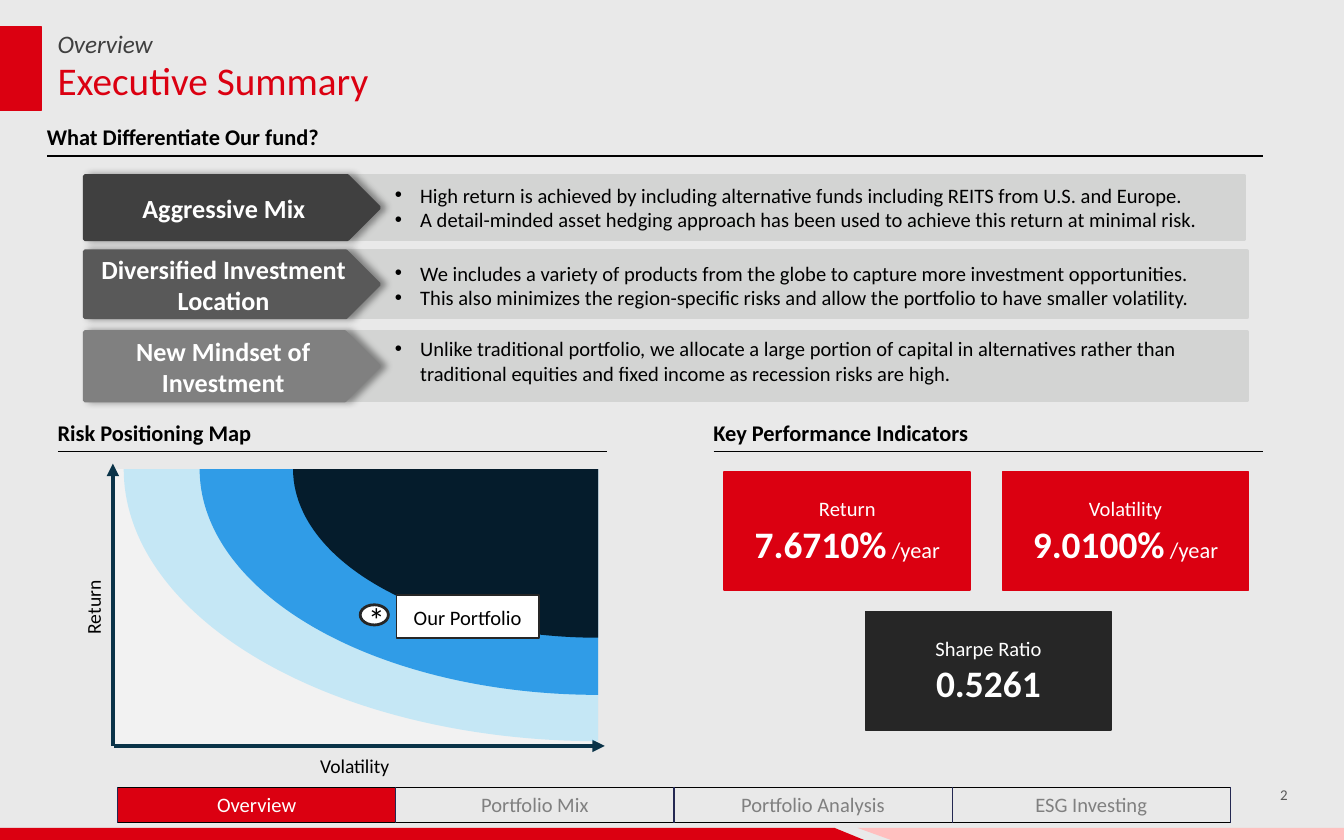
import dataclasses

import lxml.etree
import pptx
import pptx.dml.color
import pptx.enum.shapes
import pptx.enum.text
import pptx.oxml.ns
import pptx.util

SHAPE = pptx.enum.shapes.MSO_SHAPE
ALIGN = pptx.enum.text.PP_ALIGN
ANCHOR = pptx.enum.text.MSO_ANCHOR
COLUMNS, ROWS = 100, 62.5
CELL = pptx.util.Inches(0.1)


@dataclasses.dataclass(frozen=True)
class Theme:
    """Colours and type sizes of the deck."""
    font: str = "Calibri"
    ground: str = "E9E9E9"
    red: str = "DB0011"
    pink: str = "FFBFBF"
    white: str = "FFFFFF"
    black: str = "000000"
    ink: str = "262626"
    charcoal: str = "3F3F3F"
    slate: str = "595959"
    gray: str = "808080"
    band: str = "D3D4D3"
    plot: str = "F2F2F2"
    axis: str = "0A3348"
    border: str = "242852"
    low: str = "5FCEFF"
    middle: str = "309CE7"
    high: str = "051C2C"
    title: float = 21
    figure: float = 20
    marker: float = 18
    plate: float = 14
    kicker: float = 13.5
    heading: float = 12
    body: float = 11
    label: float = 10.5
    number: float = 8


THEME = Theme()


@dataclasses.dataclass(frozen=True)
class Box:
    """An area of the slide, counted in grid cells."""
    left: float
    top: float
    width: float
    height: float

    def inside(self, left, top, width, height):
        """Return a box placed from this box's corner."""
        return Box(self.left + left, self.top + top, width, height)

    def lengths(self):
        """Return the four lengths in slide units."""
        return [emu(n) for n in (self.left, self.top, self.width, self.height)]


def emu(cells):
    """Turn grid cells into slide units."""
    return pptx.util.Emu(round(cells * CELL))


def rgb(value):
    """Return a colour object for a hex value."""
    return pptx.dml.color.RGBColor.from_string(value)


def add_xml(parent, tag, **attributes):
    """Append a drawing element and return it."""
    return lxml.etree.SubElement(parent, pptx.oxml.ns.qn(tag), attributes)


def write(frame, text, *, size=THEME.body, color=THEME.black, bold=False, italic=False,
          align=ALIGN.LEFT, spacing=None, bullet=False, same_line=False):
    """Write text as a new paragraph or at the end of the last one."""
    paragraph = frame.paragraphs[-1]
    if paragraph.runs and not same_line:
        paragraph = frame.add_paragraph()
    paragraph.alignment = align
    if spacing:
        paragraph.line_spacing = spacing
    if bullet:
        properties = paragraph._p.get_or_add_pPr()
        indent = emu(1.88)
        properties.set("marL", str(indent))
        properties.set("indent", str(-indent))
        add_xml(properties, "a:buFont", typeface="Arial")
        add_xml(properties, "a:buChar", char="•")
    run = paragraph.add_run()
    run.text = text
    font = run.font
    font.name, font.size, font.bold, font.italic = THEME.font, pptx.util.Pt(size), bold, italic
    font.color.rgb = rgb(color)


def add_text(slide, box, anchor=ANCHOR.TOP):
    """Add a wrapping text box."""
    text_box = slide.shapes.add_textbox(*box.lengths())
    text_box.text_frame.word_wrap = True
    text_box.text_frame.vertical_anchor = anchor
    return text_box


def paint(shape, fill, line=None, weight=1):
    """Give a shape a flat fill and outline."""
    shape.shadow.inherit = False
    shape.fill.solid()
    shape.fill.fore_color.rgb = rgb(fill)
    if line:
        shape.line.color.rgb = rgb(line)
        shape.line.width = pptx.util.Pt(weight)
    else:
        shape.line.fill.background()
    return shape


def add_shape(slide, kind, box, fill, line=None, weight=1):
    """Add a painted preset shape."""
    shape = paint(slide.shapes.add_shape(kind, *box.lengths()), fill, line, weight)
    shape.text_frame.word_wrap = True
    shape.text_frame.vertical_anchor = ANCHOR.MIDDLE
    return shape


def add_line(slide, start, end, color=THEME.black, weight=0.75, arrow=False):
    """Add a straight line or arrow between two grid points."""
    line = slide.shapes.add_connector(pptx.enum.shapes.MSO_CONNECTOR.STRAIGHT,
                                      *[emu(n) for n in (*start, *end)])
    line.line.color.rgb = rgb(color)
    line.line.width = pptx.util.Pt(weight)
    if arrow:
        add_xml(line.line._get_or_add_ln(), "a:tailEnd", type="triangle")
    add_xml(line._element.spPr, "a:effectLst")


def add_outline(slide, points, fill):
    """Add a closed outline through grid points."""
    corners = [(emu(x), emu(y)) for x, y in points]
    builder = slide.shapes.build_freeform(*corners[0])
    builder.add_line_segments(corners[1:], close=True)
    paint(builder.convert_to_shape(), fill)


def header(slide, box):
    """Place the red tab, kicker and title."""
    add_shape(slide, SHAPE.RECTANGLE, box.inside(0, 0, 3.1, box.height), THEME.red, THEME.red, 0.75)
    write(add_text(slide, box.inside(3.3, -0.1, 40.2, 2.7)).text_frame, "Overview",
          size=THEME.kicker, color=THEME.charcoal, italic=True, spacing=0.9)
    write(add_text(slide, box.inside(3.3, 1.8, 40.2, 4.7), ANCHOR.MIDDLE).text_frame,
          "Executive Summary", size=THEME.title, color=THEME.red, spacing=0.9)


def section_heading(slide, box, text):
    """Place a bold heading above a rule at the foot of the box."""
    write(add_text(slide, box.inside(-1, 0, box.width, 3)).text_frame, text,
          size=THEME.heading, bold=True)
    foot = box.top + box.height
    add_line(slide, (box.left, foot), (box.left + box.width, foot))


def differentiator(slide, box, name, points, color, band_left, text_shift):
    """Place a pointed label before a band of bullets."""
    add_shape(slide, SHAPE.RECTANGLE, box.inside(band_left, 0, 67.7, box.height),
              THEME.band, THEME.band, 2)
    plate = add_shape(slide, SHAPE.PENTAGON, box.inside(0, 0, 21.9, box.height), color, color, 2)
    effects = plate._element.spPr.find(pptx.oxml.ns.qn("a:effectLst"))
    shadow = add_xml(effects, "a:outerShdw", blurRad=str(pptx.util.Pt(4)),
                     dist=str(pptx.util.Pt(3)), dir="0", algn="l", rotWithShape="0")
    add_xml(add_xml(shadow, "a:srgbClr", val=THEME.black), "a:alpha", val="40000")
    for line in name:
        write(plate.text_frame, line, size=THEME.plate, color=THEME.white, bold=True,
              align=ALIGN.CENTER)
    bullets = add_text(slide, box.inside(22.1, text_shift, 64.3, 4.7))
    for point in points:
        write(bullets.text_frame, point, bullet=True)


def risk_map(slide, box):
    """Place the axes, risk zones and portfolio marker."""
    add_shape(slide, SHAPE.RECTANGLE, box, THEME.plot)
    right, bottom = box.left + box.width, box.top + box.height
    add_line(slide, (box.left - 0.1, bottom - 0.1), (box.left - 0.1, box.top - 0.4),
             THEME.axis, 2.25, arrow=True)
    add_line(slide, (box.left, bottom - 0.1), (right + 0.5, bottom - 0.1),
             THEME.axis, 2.25, arrow=True)
    zones = ((35.3, 20.25, THEME.low), (29.65, 16.8, THEME.middle), (22.7, 12.55, THEME.high))
    for across, down, color in zones:
        zone = add_shape(slide, SHAPE.ARC, box.inside(box.width - across, -down, 2 * across, 2 * down),
                         color)
        zone.rotation = 180
        if color == THEME.low:
            add_xml(zone._element.spPr.find(".//" + pptx.oxml.ns.qn("a:srgbClr")),
                    "a:alpha", val="30000")
    callout = add_shape(slide, SHAPE.RECTANGLE, box.inside(21, 9.4, 10.6, 3.2),
                        THEME.white, THEME.ink)
    write(callout.text_frame, "Our Portfolio", align=ALIGN.CENTER)
    add_shape(slide, SHAPE.OVAL, box.inside(18.3, 10.1, 2.1, 1.5), THEME.white, THEME.ink, 1.5)
    labels = (("Volatility", (5.1, 20.7, 25.6, 2.8), THEME.label, 0),
              ("Return", (-8.6, 8.9, 14.1, 2.8), THEME.label, 270),
              ("*", (17.9, 9.2, 2.9, 4), THEME.marker, 0))
    for text, place, size, turn in labels:
        label = add_text(slide, box.inside(*place))
        label.rotation = turn
        write(label.text_frame, text, size=size, align=ALIGN.CENTER)


def indicator(slide, box, name, value, unit, color):
    """Place one indicator card."""
    frame = add_shape(slide, SHAPE.RECTANGLE, box, color, color).text_frame
    style = dict(color=THEME.white, align=ALIGN.CENTER)
    write(frame, name, **style)
    write(frame, value, size=THEME.figure, bold=True, **style)
    if unit:
        write(frame, " " + unit, size=THEME.heading, same_line=True, **style)


def navigation(slide, box, sections, active):
    """Place the section bar with the active section in red."""
    table = slide.shapes.add_table(1, len(sections), *box.lengths()).table
    table.first_row = table.horz_banding = False
    table.rows[0].height = emu(box.height)
    for index, section in enumerate(sections):
        table.columns[index].width = emu(box.width / len(sections))
        cell = table.cell(0, index)
        cell.margin_left = cell.margin_right = emu(0.7)
        cell.margin_top = cell.margin_bottom = emu(0.3)
        cell.vertical_anchor = ANCHOR.MIDDLE
        for side, color in zip("LRTB", (THEME.border, THEME.border, THEME.black, THEME.black)):
            edge = add_xml(cell._tc.get_or_add_tcPr(), "a:ln" + side, w=str(pptx.util.Pt(0.75)))
            add_xml(add_xml(edge, "a:solidFill"), "a:srgbClr", val=color)
        if section == active:
            cell.fill.solid()
            cell.fill.fore_color.rgb = rgb(THEME.red)
        else:
            cell.fill.background()
        write(cell.text_frame, section, align=ALIGN.CENTER,
              color=THEME.white if section == active else THEME.gray)


def footer(slide, box, number):
    """Place the slanted stripes and the page number."""
    top, foot, right = box.top, box.top + box.height, box.width
    add_outline(slide, ((0, top), (62.1, top), (64.3, foot), (0, foot)), THEME.red)
    add_outline(slide, ((63.8, top), (right, top), (right, foot), (66.3, foot)), THEME.pink)
    write(add_text(slide, box.inside(91.8, -4.1, 5, 3.3), ANCHOR.MIDDLE).text_frame, number,
          size=THEME.number, color=THEME.slate, align=ALIGN.RIGHT)


def main():
    """Build the executive summary slide."""
    deck = pptx.Presentation()
    deck.slide_width, deck.slide_height = emu(COLUMNS), emu(ROWS)
    slide = deck.slides.add_slide(deck.slide_layouts[6])
    slide.background.fill.solid()
    slide.background.fill.fore_color.rgb = rgb(THEME.ground)

    footer(slide, Box(0, 61.6, COLUMNS, 0.9), "2")
    header(slide, Box(0, 2, 43.5, 6.2))
    section_heading(slide, Box(3.5, 8.7, 90.5, 2.9), "What Differentiate Our fund?")
    differentiator(slide, Box(6.3, 13.1, 86.3, 4.7), ["Aggressive Mix"], [
        "High return is achieved by including alternative funds including REITS from U.S. and Europe.",
        "A detail-minded asset hedging approach has been used to achieve this return at minimal risk.",
    ], "404040", 18.6, 0)
    differentiator(slide, Box(6.3, 18.7, 86.5, 4.9), ["Diversified Investment Location"], [
        "We includes a variety of products from the globe to capture more investment opportunities.",
        "This also minimizes the region-specific risks and allow the portfolio to have smaller volatility.",
    ], THEME.slate, 18.8, 0.2)
    differentiator(slide, Box(6.3, 24.7, 86.5, 5.1), ["New Mindset of", "Investment"], [
        "Unlike traditional portfolio, we allocate a large portion of capital in alternatives rather than "
        "traditional equities and fixed income as recession risks are high.",
    ], THEME.gray, 18.8, -0.2)
    section_heading(slide, Box(4.3, 30.7, 40.9, 2.9), "Risk Positioning Map")
    risk_map(slide, Box(8.5, 34.9, 36, 20.7))
    section_heading(slide, Box(53.1, 30.7, 40.9, 2.9), "Key Performance Indicators")
    for left, top, *content in ((53.9, 35.1, "Return", "7.6710%", "/year", THEME.red),
                                (74.6, 35.1, "Volatility", "9.0100%", "/year", THEME.red),
                                (64.4, 45.5, "Sharpe Ratio", "0.5261", "", THEME.ink)):
        indicator(slide, Box(left, top, 18.3, 8.8), *content)
    navigation(slide, Box(8.75, 58.6, 82.8, 2.6),
               ["Overview", "Portfolio Mix", "Portfolio Analysis", "ESG Investing"], "Overview")
    deck.save("out.pptx")


if __name__ == "__main__":
    main()
